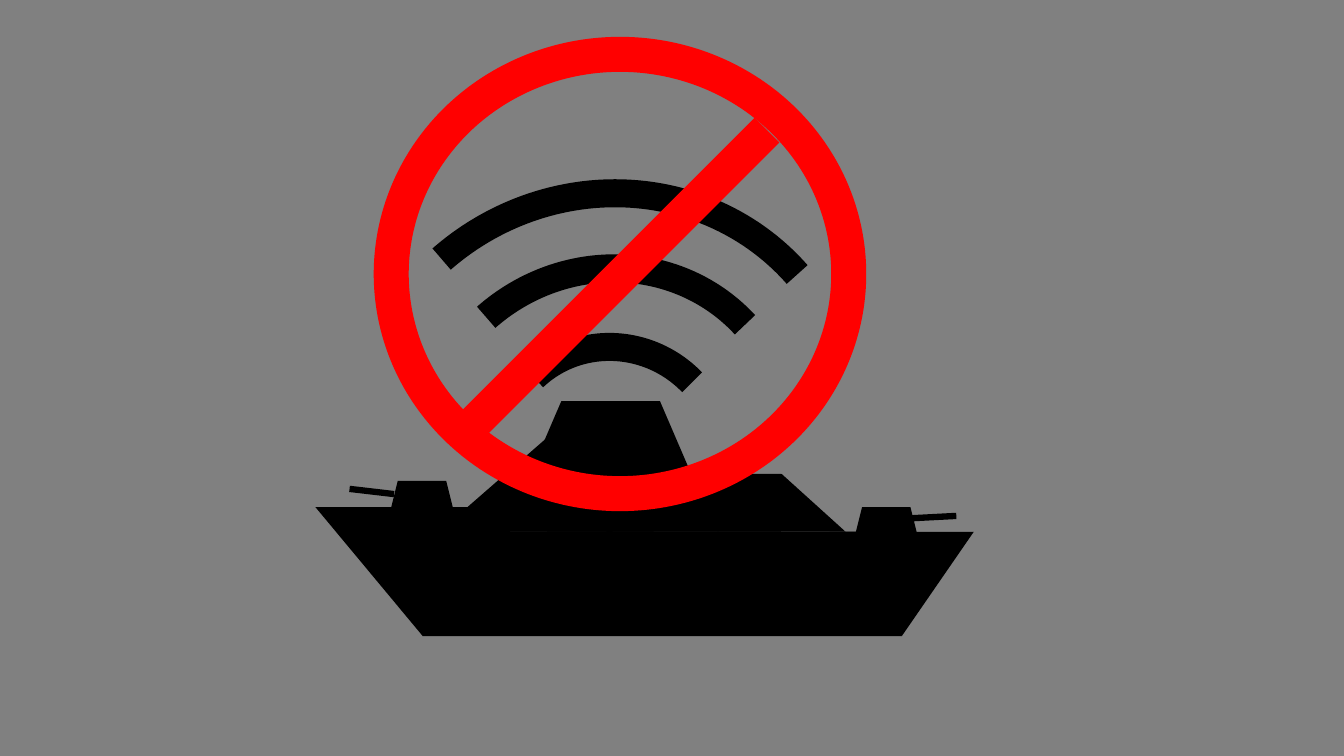
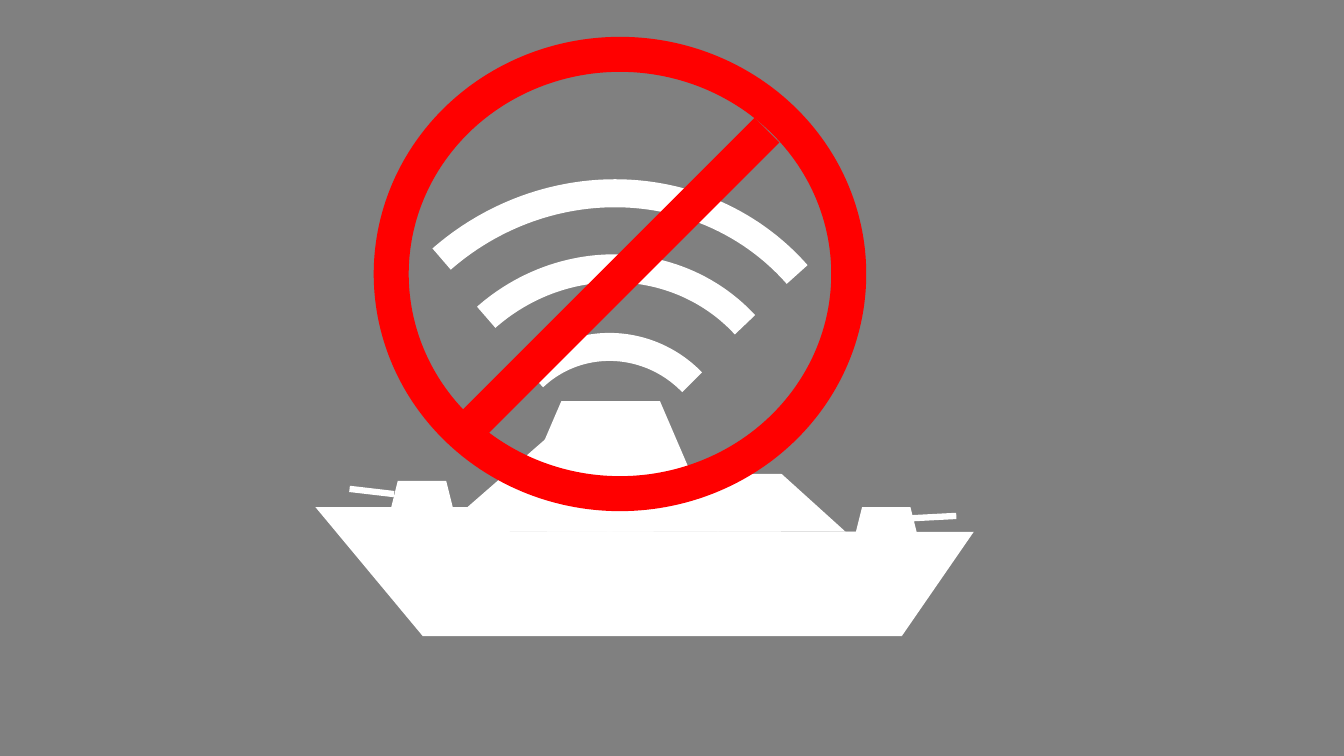
from typing import NamedTuple

from lxml.etree import SubElement
from pptx import Presentation
from pptx.dml.color import RGBColor
from pptx.enum.shapes import MSO_CONNECTOR as Connector, MSO_SHAPE as Shape
from pptx.oxml.ns import qn
from pptx.util import Cm, Pt

BACKGROUND = "808080"
BAN_RED = "FF0000"
SHIP_COLORS = ("000000", "FFFFFF")
BARREL_WIDTH, SIGNAL_WIDTH, BAN_WIDTH = 4.5, 20, 25


class Box(NamedTuple):
    """A region of the slide, in centimetres."""
    left: float
    top: float
    width: float
    height: float


SUPERSTRUCTURE = Box(11.07, 10.11, 10.24, 3.29)
FRONT_TURRET = Box(9.86, 12.12, 1.55, 0.66)
REAR_TURRET = Box(21.56, 12.78, 1.55, 0.66)
SIGNAL = Box(8.71, 5, 13, 12.42)
HULL = Box(7.95, 12.78, 16.59, 3.25)
BAN_SIGN = Box(9.86, 1.37, 11.53, 11.07)


def rgb(color):
    """Turn a hex string into a colour."""
    return RGBColor.from_string(color)


def inside(box, left, top, width, height):
    """Return a box placed relative to the corner of another."""
    return Box(box.left + left, box.top + top, width, height)


def add_form(slide, kind, box, adjustments=(), rotation=0):
    """Add a preset shape without shadow."""
    shape = slide.shapes.add_shape(kind, *map(Cm, box))
    shape.shadow.inherit = False
    shape.rotation = rotation
    for index, value in enumerate(adjustments):
        shape.adjustments[index] = value
    return shape


def add_solid(slide, kind, box, color, **options):
    """Add a filled shape without outline."""
    shape = add_form(slide, kind, box, **options)
    shape.fill.solid()
    shape.fill.fore_color.rgb = rgb(color)
    shape.line.fill.background()


def add_outline(slide, kind, box, color, width, **options):
    """Add an outlined shape without fill."""
    shape = add_form(slide, kind, box, **options)
    shape.fill.background()
    shape.line.color.rgb = rgb(color)
    shape.line.width = Pt(width)


def add_line(slide, box, start, end, color, width):
    """Add a straight line between two points relative to the box."""
    points = [Cm(origin + offset) for point in (start, end)
              for origin, offset in zip(box[:2], point)]
    line = slide.shapes.add_connector(Connector.STRAIGHT, *points)
    line.line.color.rgb = rgb(color)
    line.line.width = Pt(width)
    SubElement(line._element.spPr, qn("a:effectLst"))


def add_superstructure(slide, box, color):
    """Build the bridge and the sloping decks, all standing on the box bottom."""
    tall, low = 2.36, 1.46
    decks = (
        (Shape.ISOSCELES_TRIANGLE, 0, 5.41, tall),
        (Shape.RECTANGLE, 2.72, 1.65, tall),
        (Shape.RECTANGLE, 4.22, 4.39, low),
        (Shape.ISOSCELES_TRIANGLE, 1.63, 5.41, tall),
        (Shape.ISOSCELES_TRIANGLE, 7.01, 3.23, low),
    )
    for kind, left, width, height in decks:
        deck = inside(box, left, box.height - height, width, height)
        add_solid(slide, kind, deck, color)
    bridge = inside(box, 2.29, 0, 4.06, 1.83)
    add_solid(slide, Shape.TRAPEZOID, bridge, color, adjustments=(0.43,))


def add_turret(slide, box, color, breech, muzzle):
    """Build a turret with its gun barrel."""
    add_solid(slide, Shape.TRAPEZOID, box, color)
    add_line(slide, box, breech, muzzle, color, BARREL_WIDTH)


def add_signal(slide, box, color):
    """Build the three radio waves, from the inner to the outer one."""
    waves = (
        ((3.91, 3.71, 5.61, 5.74), 316.5, (162, 215.7)),
        ((1.78, 1.86, 9.55, 9.12), 317.7, (162.59, 215.78)),
        ((0, 0, box.width, box.height), 318.2, (162.44, 0.28)),
    )
    for place, rotation, angles in waves:
        add_outline(slide, Shape.ARC, inside(box, *place), color, SIGNAL_WIDTH,
                    adjustments=angles, rotation=rotation)


def add_hull(slide, box, color):
    """Build the hull: a body between the centres of bow and stern."""
    bow_width, stern_width, step = 5.41, 3.63, 0.62
    body_height = box.height - step
    body_width = box.width - (bow_width + stern_width) / 2
    add_solid(slide, Shape.RECTANGLE,
              inside(box, bow_width / 2, step, body_width, body_height), color)
    bow = inside(box, 0, 0, bow_width, box.height)
    stern = inside(box, box.width - stern_width, step, stern_width, body_height)
    for end in (bow, stern):
        add_solid(slide, Shape.ISOSCELES_TRIANGLE, end, color, rotation=180)


def add_ban_sign(slide, box):
    """Build the red ring with its slash."""
    add_line(slide, box, (9.47, 1.91), (2.03, 9.35), BAN_RED, BAN_WIDTH)
    add_outline(slide, Shape.OVAL, box, BAN_RED, BAN_WIDTH)


def add_ship_slide(presentation, color):
    """Build one slide with a ship whose signal is banned."""
    slide = presentation.slides.add_slide(presentation.slide_layouts[6])
    slide.background.fill.solid()
    slide.background.fill.fore_color.rgb = rgb(BACKGROUND)
    add_superstructure(slide, SUPERSTRUCTURE, color)
    add_turret(slide, FRONT_TURRET, color, breech=(0.07, 0.33), muzzle=(-1.05, 0.2))
    add_turret(slide, REAR_TURRET, color, breech=(1.4, 0.28), muzzle=(2.54, 0.22))
    add_signal(slide, SIGNAL, color)
    add_hull(slide, HULL, color)
    add_ban_sign(slide, BAN_SIGN)


def main():
    """Build and save the presentation."""
    presentation = Presentation()
    presentation.slide_width = Cm(33.87)
    presentation.slide_height = Cm(19.05)
    for color in SHIP_COLORS:
        add_ship_slide(presentation, color)
    presentation.save("out.pptx")


main()
